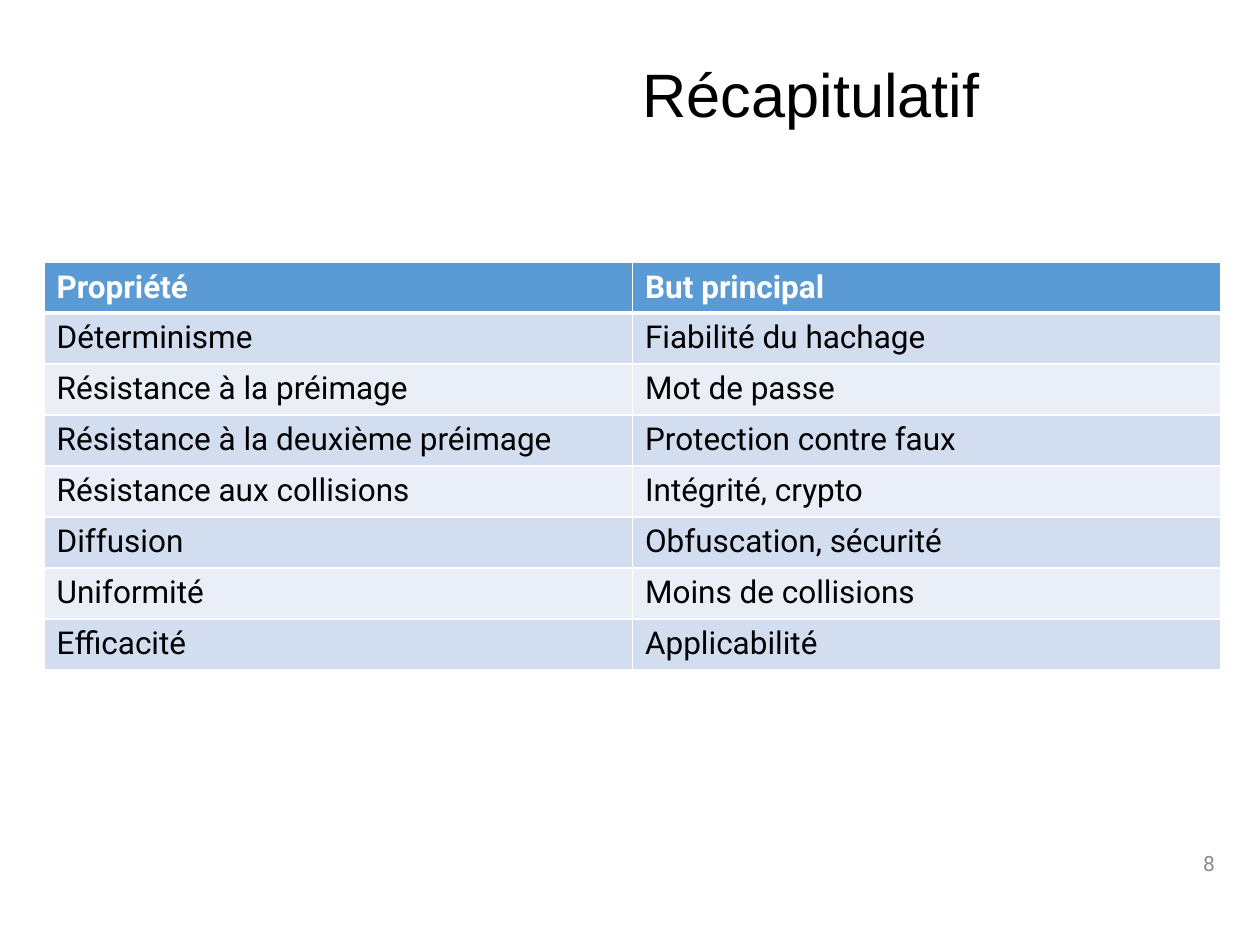
from lxml.etree import SubElement
from pptx import Presentation
from pptx.dml.color import RGBColor
from pptx.enum.text import MSO_ANCHOR as Anchor, PP_ALIGN as Align
from pptx.oxml.ns import qn
from pptx.util import Inches, Pt

ROWS = [
    ("Propriété", "But principal"),
    ("Déterminisme", "Fiabilité du hachage"),
    ("Résistance à la préimage", "Mot de passe"),
    ("Résistance à la deuxième préimage", "Protection contre faux"),
    ("Résistance aux collisions", "Intégrité, crypto"),
    ("Diffusion", "Obfuscation, sécurité"),
    ("Uniformité", "Moins de collisions"),
    ("Efficacité", "Applicabilité"),
]


def color(value):
    return RGBColor.from_string(value)


def write(frame, text, *, size, font="Roboto", ink="000000", bold=False,
          align=Align.LEFT, spacing=None):
    para = frame.paragraphs[0]
    para.alignment = align
    para.line_spacing = spacing
    span = para.add_run()
    span.text = text
    span.font.size = Pt(size)
    span.font.name = font
    span.font.bold = bold
    span.font.color.rgb = color(ink)


def add_borders(cell, ink, **widths):
    properties = cell._tc.get_or_add_tcPr()
    for side, width in widths.items():
        line = SubElement(properties, qn(f"a:ln{side}"), w=str(Pt(width)))
        fill = SubElement(line, qn("a:solidFill"))
        SubElement(fill, qn("a:srgbClr"), val=ink)


class SlideBuilder:
    header = "5B9BD5"
    bands = ("EAEFF7", "D2DEEF")
    white = "FFFFFF"
    muted = "8C8C8C"

    def __init__(self, page):
        self.page = page

    def text(self, text, left, top, width, height, **style):
        box = self.page.shapes.add_textbox(
            Inches(left), Inches(top), Inches(width), Inches(height))
        frame = box.text_frame
        frame.word_wrap = True
        frame.vertical_anchor = Anchor.MIDDLE
        write(frame, text, **style)

    def table(self, rows, left, top, width, height):
        table = self.page.shapes.add_table(
            len(rows), len(rows[0]), Inches(left), Inches(top),
            Inches(width), Inches(height)).table
        for row, labels in enumerate(rows):
            heading = row == 0
            for column, label in enumerate(labels):
                cell = table.cell(row, column)
                add_borders(cell, self.white, L=1, R=1,
                            T=3 if row == 1 else 1, B=3 if heading else 1)
                cell.fill.solid()
                cell.fill.fore_color.rgb = color(
                    self.header if heading else self.bands[row % 2])
                cell.vertical_anchor = Anchor.MIDDLE if heading else Anchor.TOP
                write(cell.text_frame, label, size=18, bold=heading,
                      ink=self.white if heading else "000000")


def main():
    deck = Presentation()
    deck.slide_width, deck.slide_height = Inches(10), Inches(7.5)
    builder = SlideBuilder(deck.slides.add_slide(deck.slide_layouts[6]))
    builder.table(ROWS, 0.35, 2.08, 9.34, 3.24)
    builder.text("Récapitulatif", 5, 0.25, 4.69, 1.05,
                 size=35, font="Arial", spacing=0.9)
    builder.text("8", 7.49, 6.65, 2.25, 0.4,
                 size=12, ink=builder.muted, align=Align.RIGHT)
    deck.save("out.pptx")


if __name__ == "__main__":
    main()
